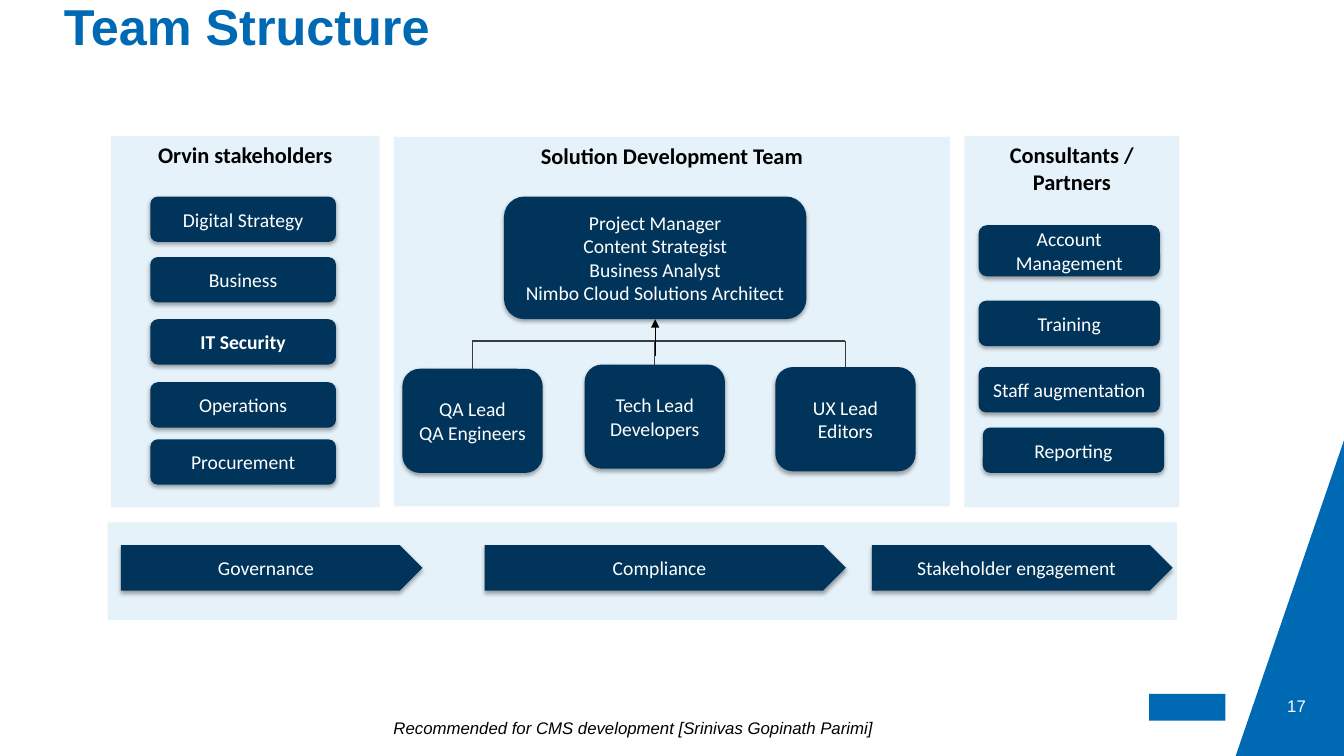
from lxml.etree import SubElement
from pptx import Presentation
from pptx.dml.color import RGBColor
from pptx.enum.shapes import MSO_CONNECTOR as Line, MSO_SHAPE as Shape
from pptx.enum.text import MSO_ANCHOR as Anchor, MSO_AUTO_SIZE as AutoSize, PP_ALIGN as Align
from pptx.oxml.ns import qn
from pptx.util import Inches, Pt

COLORS = {"blue": "0069B4", "navy": "00345A", "pale": "E6F2FA",
          "white": "FFFFFF", "black": "000000", "grey": "3C3C3C"}

deck = Presentation()
deck.slide_width, deck.slide_height = Inches(13.333), Inches(7.5)
slide = deck.slides.add_slide(deck.slide_layouts[5])
shapes = slide.shapes
CELL = deck.slide_height / 90


def grid(*cells):
    return [round(cell * CELL) for cell in cells]


def block(kind, cells, fill, text="", size=14, color="white", bold=False, anchor=Anchor.MIDDLE):
    item = shapes.add_shape(kind, *grid(*cells))
    item.shadow.inherit = False
    item.fill.solid()
    item.fill.fore_color.rgb = RGBColor.from_string(COLORS[fill])
    item.line.fill.background()
    if fill == "navy":
        effects = item._element.spPr.find(qn("a:effectLst"))
        shade = SubElement(effects, qn("a:outerShdw"), blurRad=str(Pt(3.1)),
                           dist=str(Pt(1.8)), dir="5400000", rotWithShape="0")
        tint = SubElement(shade, qn("a:srgbClr"), val=COLORS["black"])
        SubElement(tint, qn("a:alpha"), val="35000")
    if text:
        item.text_frame.text = text
        item.text_frame.word_wrap = True
        item.text_frame.vertical_anchor = anchor
        for paragraph in item.text_frame.paragraphs:
            paragraph.alignment = Align.CENTER
            font = paragraph.runs[0].font
            font.name, font.size, font.bold = "Calibri", Pt(size), bold
            font.color.rgb = RGBColor.from_string(COLORS[color])
    return item


corner_path = shapes.build_freeform(*grid(147.1, 90))
corner_path.add_line_segments([grid(160, 52.4), grid(160, 90)], close=True)
corner = corner_path.convert_to_shape()
corner.shadow.inherit = False
corner.fill.solid()
corner.fill.fore_color.rgb = RGBColor.from_string(COLORS["blue"])
corner.line.fill.background()

block(Shape.RECTANGLE, (136.8, 82.6, 9.1, 3.2), "blue")

block(Shape.RECTANGLE, (12.8, 62.2, 127.3, 11.6), "pale")
for heading, cells in (
    ("Consultants / Partners", (114.8, 16.2, 25.6, 44.2)),
    ("Solution Development Team", (46.9, 16.3, 66.2, 44)),
    ("Orvin stakeholders", (13.2, 16.2, 32, 44.2)),
):
    block(Shape.RECTANGLE, cells, "pale", heading, 16, "black", True, Anchor.TOP)

for stakeholder, top in (("Digital Strategy", 23.4), ("Business", 30.6), ("IT Security", 38),
                         ("Operations", 45.5), ("Procurement", 52.3)):
    block(Shape.ROUNDED_RECTANGLE, (17.9, top, 22.1, 5.4), "navy", stakeholder,
          bold=stakeholder == "IT Security")

for partner, left, top, height in (
    ("Account Management", 116.5, 26.8, 6.1),
    ("Training", 116.5, 35.8, 5.4),
    ("Staff augmentation", 116.5, 43.7, 5.4),
    ("Reporting", 117, 50.9, 5.4),
):
    block(Shape.ROUNDED_RECTANGLE, (left, top, 21.6, height), "navy", partner)

for practice, left, width in (("Governance", 14.4, 35.9), ("Compliance", 57.7, 43),
                              ("Stakeholder engagement", 103.8, 35.8)):
    block(Shape.PENTAGON, (left, 64.9, width, 5.4), "navy", practice)

leadership = block(Shape.ROUNDED_RECTANGLE, (60, 23.4, 36, 14.6), "navy",
                   "Project Manager\nContent Strategist\nBusiness Analyst\n"
                   "Nimbo Cloud Solutions Architect")
teams = [
    block(Shape.ROUNDED_RECTANGLE, (left, top, 16.7, 12.4), "navy", members)
    for members, left, top in (("QA Lead\nQA Engineers", 47.9, 43.9),
                               ("Tech Lead\nDevelopers", 69.6, 43.4),
                               ("UX Lead\nEditors", 92.3, 43.7))
]

bus = grid(40.6)[0]
centers = [team.left + team.width // 2 for team in teams]
middle = leadership.left + leadership.width // 2
routes = [((center, bus), (center, team.top), team, 0, "grey", 0.75)
          for center, team in zip(centers, teams)]
routes.append(((centers[0], bus), (centers[-1], bus), None, 0, "grey", 0.75))
routes.append(((middle, grid(42.4)[0]), (middle, leadership.top + leadership.height),
               leadership, 2, "black", 0.5))
for start, end, target, side, color, width in routes:
    link = shapes.add_connector(Line.STRAIGHT, *start, *end)
    if target is not None:
        link.end_connect(target, side)
    link.line.color.rgb = RGBColor.from_string(COLORS[color])
    link.line.width = Pt(width)
    if target is leadership:
        SubElement(link.line._get_or_add_ln(), qn("a:tailEnd"), type="triangle")
    SubElement(link._element.spPr, qn("a:effectLst"))

title = shapes.title
title.left, title.top, title.width, title.height = grid(7.6, 0, 138, 7.7)
footnote = shapes.add_textbox(*grid(35, 85.1, 82, 4.1))
page = shapes.add_textbox(*grid(148.7, 82.2, 11.3, 3.6))
for holder, text, size, color, align, anchor, margins in (
    (title, "Team Structure", 36, "blue", Align.LEFT, Anchor.BOTTOM, (0, 0, 0, 0.08)),
    (footnote, "Recommended for CMS development [Srinivas Gopinath Parimi]", 12, "black",
     Align.CENTER, Anchor.TOP, (0, 0.05, 0.1, 0.05)),
    (page, "17", 12, "white", Align.CENTER, Anchor.TOP, (0.1, 0.05, 0.1, 0.05)),
):
    frame = holder.text_frame
    frame.text = text
    frame.word_wrap = True
    frame.auto_size = AutoSize.NONE
    frame.vertical_anchor = anchor
    (frame.margin_left, frame.margin_top,
     frame.margin_right, frame.margin_bottom) = map(Inches, margins)
    paragraph = frame.paragraphs[0]
    paragraph.alignment = align
    paragraph.line_spacing = 1 if holder is page else 0.9
    font = paragraph.runs[0].font
    font.name, font.size = "Arial", Pt(size)
    font.bold, font.italic = holder is title, holder is footnote
    font.color.rgb = RGBColor.from_string(COLORS[color])

deck.save("out.pptx")
